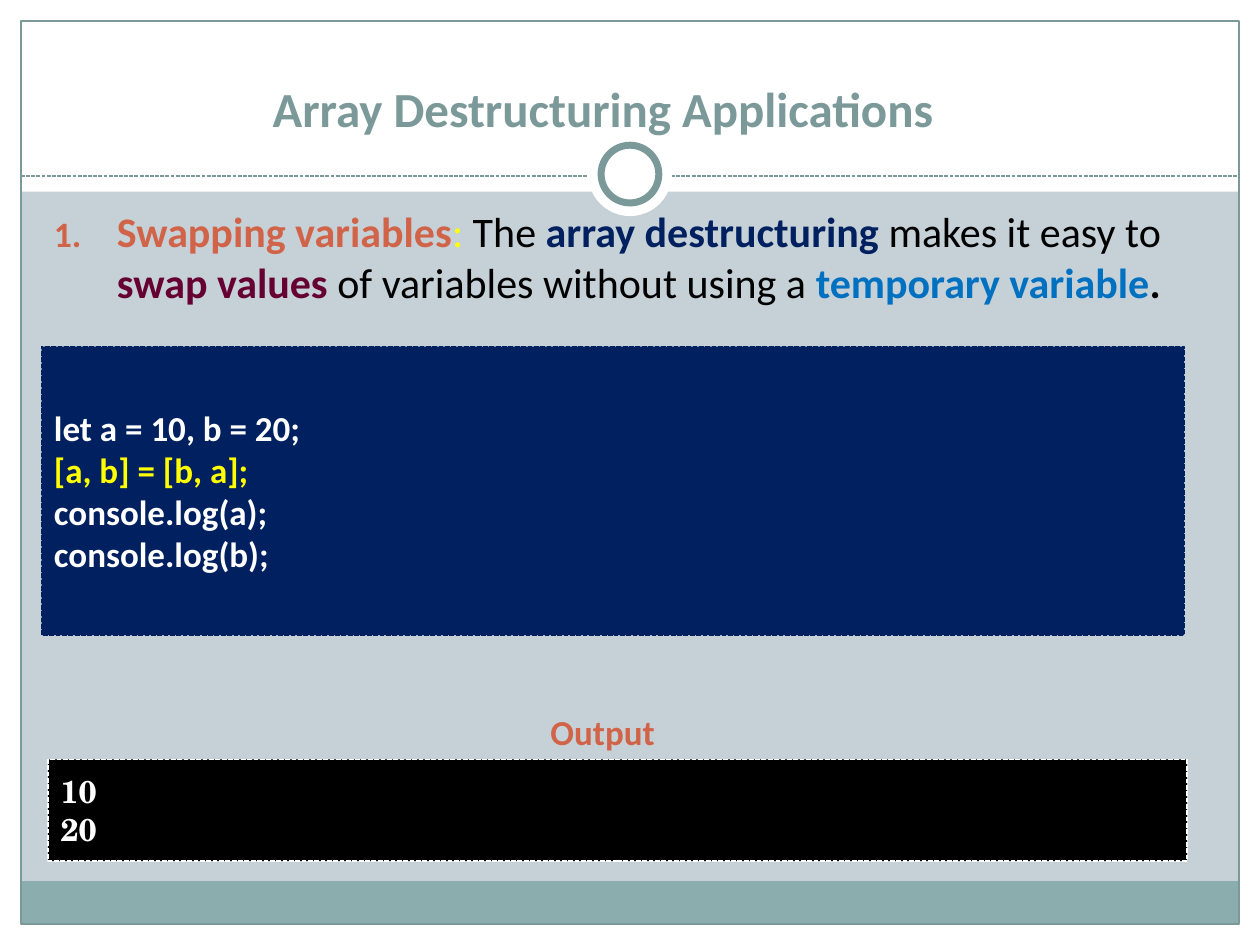
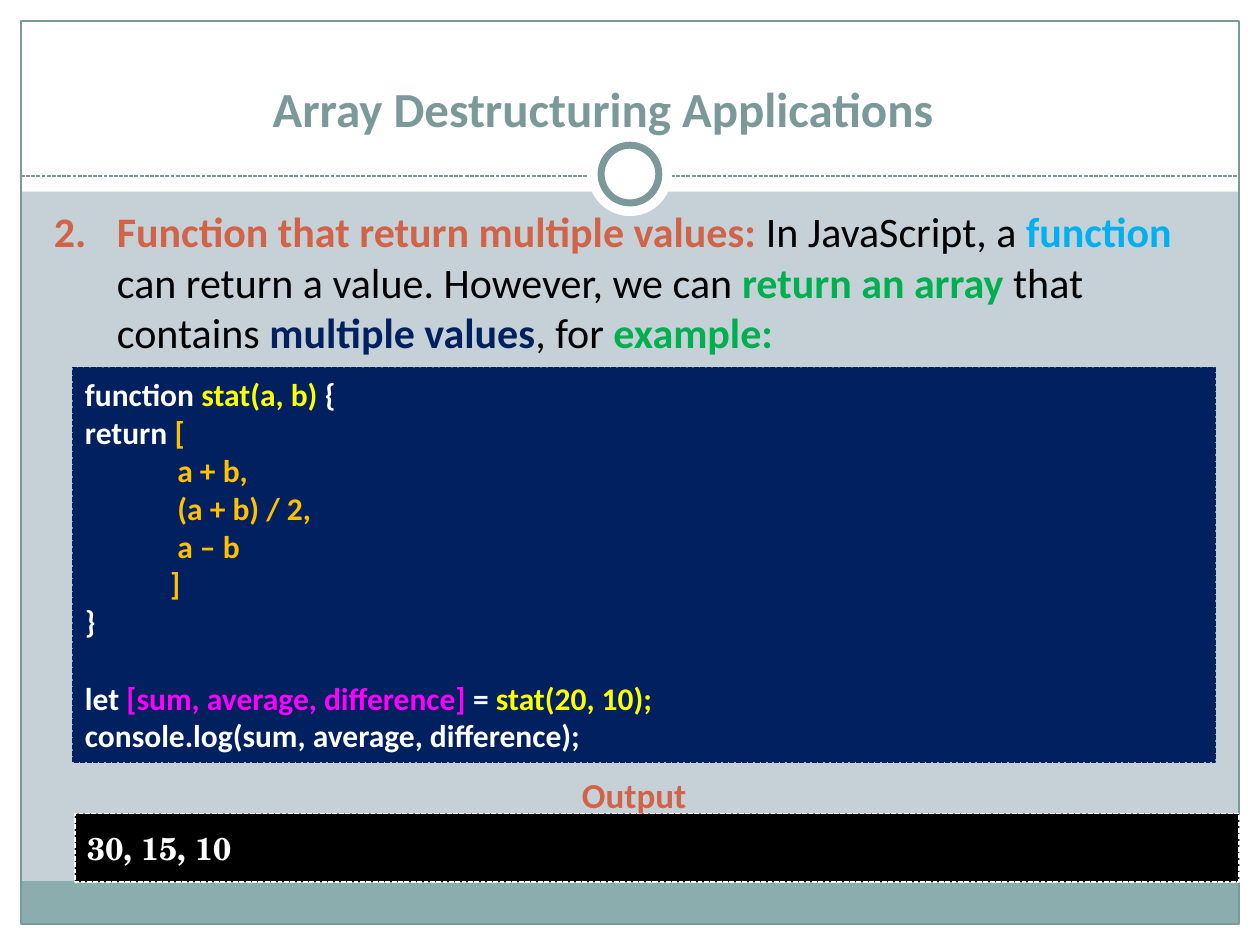
from lxml import etree
from pptx import Presentation
from pptx.dml.color import RGBColor
from pptx.enum.dml import MSO_LINE
from pptx.enum.shapes import MSO_CONNECTOR, MSO_SHAPE
from pptx.enum.text import MSO_ANCHOR, MSO_AUTO_SIZE, PP_ALIGN
from pptx.oxml.ns import qn
from pptx.util import Pt

RECT, OVAL = MSO_SHAPE.RECTANGLE, MSO_SHAPE.OVAL
DASH = MSO_LINE.SQUARE_DOT
STRAIGHT = MSO_CONNECTOR.STRAIGHT
LEFT, CENTER = PP_ALIGN.LEFT, PP_ALIGN.CENTER
TOP, MIDDLE, BOTTOM = MSO_ANCHOR.TOP, MSO_ANCHOR.MIDDLE, MSO_ANCHOR.BOTTOM

W, H, EDGE = 720, 540, 12
SANS, SERIF = "Calibri", "TeX Gyre Schola"
COLORS = {
    "back": "C5D1D7", "white": "FFFFFF", "black": "000000",
    "teal": "7C999A", "band": "8CADAE", "rust": "D16349",
    "navy": "002060", "plum": "660033", "blue": "0070C0",
    "sky": "00B0F0", "green": "00B050", "yellow": "FFFF00",
    "amber": "FFC000", "magenta": "FF00FF",
}


def rgb(name):
    return RGBColor.from_string(COLORS[name])


def write(p, runs, size=18, font=SANS, align=LEFT, before=None):
    """Fill a paragraph with (text, colour, bold) runs."""
    p.alignment = align
    if before:
        p.space_before = Pt(before)
    for text, color, bold in runs:
        r = p.add_run()
        r.text = text
        r.font.name, r.font.size, r.font.bold = font, Pt(size), bold
        r.font.color.rgb = rgb(color)


def bold(*parts):
    """Make one bold code line from (text, colour) parts."""
    return [(text, color, True) for text, color in parts]


class Deck:
    def __init__(self):
        self.prs = Presentation()
        self.prs.slide_width, self.prs.slide_height = Pt(W), Pt(H)
        fill = self.prs.slide_master.background.fill
        fill.solid()
        fill.fore_color.rgb = rgb("back")
        self.s = None

    def shape(self, kind, x, y, w, h, fill=None, line=None, width=0.75, dash=None):
        sp = self.s.shapes.add_shape(kind, Pt(x), Pt(y), Pt(w), Pt(h))
        sp.shadow.inherit = False
        if fill:
            sp.fill.solid()
            sp.fill.fore_color.rgb = rgb(fill)
        else:
            sp.fill.background()
        if line:
            sp.line.color.rgb = rgb(line)
            sp.line.width = Pt(width)
            if dash:
                sp.line.dash_style = dash
        else:
            sp.line.fill.background()
        return sp

    def rule(self, x1, x2, y):
        cn = self.s.shapes.add_connector(STRAIGHT, Pt(x1), Pt(y), Pt(x2), Pt(y))
        cn.line.color.rgb = rgb("teal")
        cn.line.width = Pt(0.75)
        cn.line.dash_style = DASH
        etree.SubElement(cn._element.spPr, qn("a:effectLst"))

    def frame(self):
        # White margins, header and footer band
        for box in ((0, H - EDGE, W, EDGE), (0, 0, W, 109.5),
                    (0, 0, EDGE, H), (W - EDGE, 0, EDGE, H)):
            self.shape(RECT, *box, fill="white")
        inner = W - 2 * EDGE
        self.shape(RECT, EDGE, 503.5, inner, 24.5, fill="band")
        self.shape(RECT, EDGE, EDGE, inner, H - 2 * EDGE, line="teal")
        # Divider with its ring
        self.rule(EDGE, W - EDGE, 100.6)
        for d, line in ((48, None), (33, "teal")):
            self.shape(OVAL, (W - d) / 2, 99.5 - d / 2, d, d, "white", line, 4)

    def slide(self, title):
        self.s = self.prs.slides.add_slide(self.prs.slide_layouts[5])
        self.frame()
        sp = self.s.shapes.title
        self.s.shapes._spTree.append(sp._element)  # bring in front of the frame
        sp.left, sp.top, sp.width, sp.height = Pt(8.5), Pt(22.5), Pt(672), Pt(59.75)
        tf = sp.text_frame
        tf.auto_size = MSO_AUTO_SIZE.NONE
        tf.vertical_anchor = BOTTOM
        write(tf.paragraphs[0], bold((title, "teal")), size=28, align=CENTER)

    def item(self, runs, numbered=False):
        """Hanging numbered statement below the header."""
        sp = self.s.shapes.add_textbox(Pt(23.75), Pt(114), Pt(669.5), Pt(382))
        tf = sp.text_frame
        tf.word_wrap = True
        tf.vertical_anchor = TOP
        p = tf.paragraphs[0]
        pPr = p._p.get_or_add_pPr()
        pPr.set("marL", str(Pt(36)))
        pPr.set("indent", str(-Pt(36)))
        if numbered:
            clr = etree.SubElement(pPr, qn("a:buClr"))
            etree.SubElement(clr, qn("a:srgbClr"), val=COLORS["rust"])
            etree.SubElement(pPr, qn("a:buSzPct"), val="85000")
            etree.SubElement(pPr, qn("a:buFont"), typeface="+mj-lt")
            etree.SubElement(pPr, qn("a:buAutoNum"), type="arabicPeriod")
        else:
            etree.SubElement(pPr, qn("a:buNone"))
            tabs = etree.SubElement(pPr, qn("a:tabLst"))
            etree.SubElement(tabs, qn("a:tab"), pos=str(Pt(36)), algn="l")
        write(p, runs, size=24)

    def panel(self, box, lines, fill, line, size=18, font=SANS, gap_at=None):
        """Dashed block of lines; gap_at is the line that follows a gap."""
        sp = self.shape(RECT, *box, fill=fill, line=line, width=0.9, dash=DASH)
        tf = sp.text_frame
        tf.word_wrap = True
        tf.vertical_anchor = MIDDLE
        for i, runs in enumerate(lines):
            p = tf.add_paragraph() if i else tf.paragraphs[0]
            write(p, runs, size, font, before=22 if i == gap_at else None)

    def code(self, box, lines, **fmt):
        self.panel(box, lines, "navy", "navy", **fmt)

    def output(self, box, values, label_x, label_y):
        lines = [bold((v, "white")) for v in values]
        self.panel(box, lines, "black", "white", font=SERIF)
        sp = self.s.shapes.add_textbox(Pt(label_x), Pt(label_y), Pt(80.5), Pt(31.5))
        tf = sp.text_frame
        tf.word_wrap = False
        tf.auto_size = MSO_AUTO_SIZE.SHAPE_TO_FIT_TEXT
        write(tf.paragraphs[0], bold(("Output", "rust")), size=20)


def main():
    deck = Deck()
    title = "Array Destructuring Applications"

    # Swapping variables
    deck.slide(title)
    deck.item([
        ("Swapping variables", "rust", True), (": ", "yellow", False),
        ("The ", "black", False), ("array destructuring ", "navy", True),
        ("makes it easy to ", "black", False), ("swap values ", "plum", True),
        ("of variables without using a ", "black", False),
        ("temporary variable", "blue", True), (".", "black", True),
    ], numbered=True)
    deck.code((23.75, 198, 653, 165), [
        bold(("let a = 10, b = 20;", "white")),
        bold(("[a, b] = [b, a];", "yellow")),
        bold(("console.log(a);", "white")),
        bold(("console.log(b);", "white")),
    ], size=20)
    deck.output((27.5, 434, 650.75, 58), ["10", "20"], 307.5, 402.5)

    # Returning multiple values
    deck.slide(title)
    deck.item([
        ("2.\tFunction that return multiple values: ", "rust", True),
        ("In JavaScript, a ", "black", False), ("function", "sky", True),
        (" can return a value. However, we can ", "black", False),
        ("return an array ", "green", True), ("that contains ", "black", False),
        ("multiple values", "navy", True), (", for ", "black", False),
        ("example:", "green", True),
    ])
    deck.code((41.5, 210, 653, 225.5), [
        bold(("function ", "white"), ("stat(a, b) ", "yellow"), ("{", "white")),
        bold(("return ", "white"), ("[", "amber")),
        bold(("             a + b,", "amber")),
        bold(("             (a + b) / 2,", "amber")),
        bold(("             a – b", "amber")),
        bold(("            ]", "amber")),
        bold(("}", "white")),
        bold(("let ", "white"), ("[sum, average, difference] ", "magenta"),
             ("= ", "white"), ("stat(20, 10);", "yellow")),
        bold(("console.log(sum, average, difference);", "white")),
    ], gap_at=7)
    deck.output((42.75, 465, 665.25, 39), ["30, 15, 10"], 325.5, 438.5)

    deck.prs.save("out.pptx")


if __name__ == "__main__":
    main()
